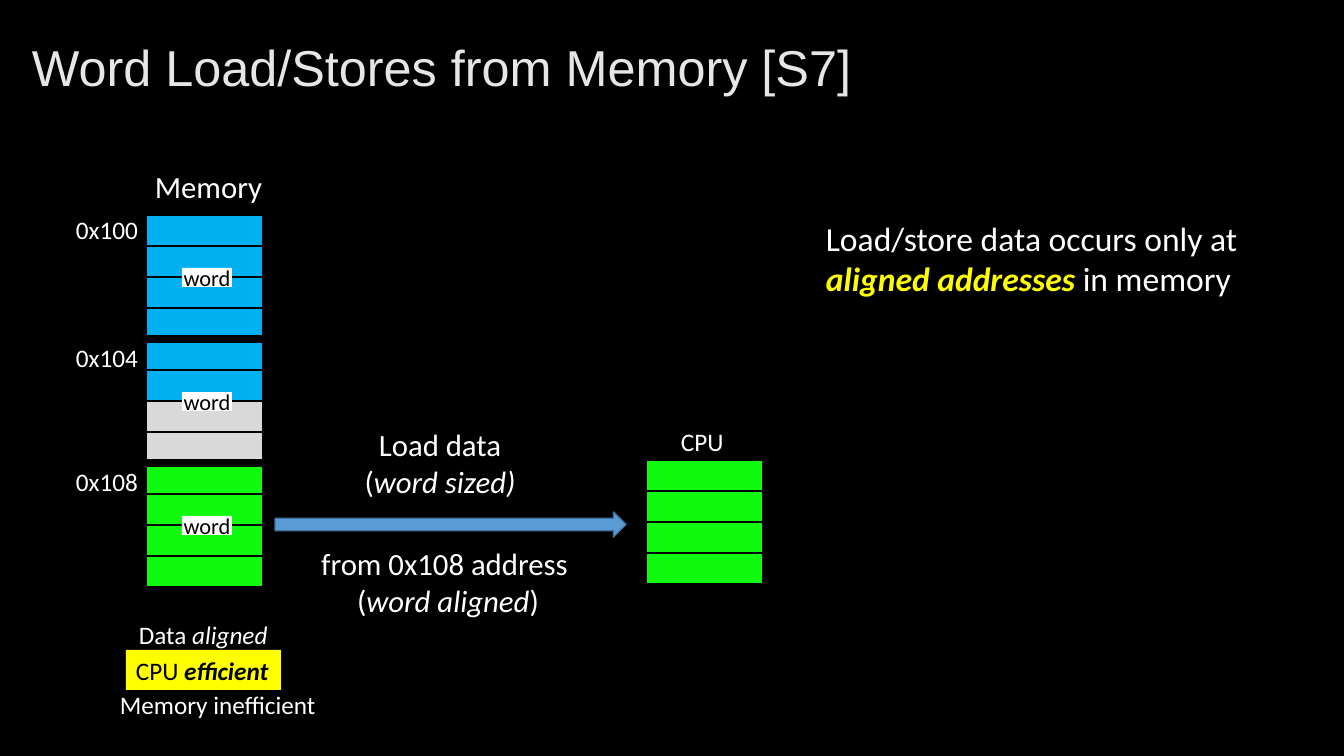
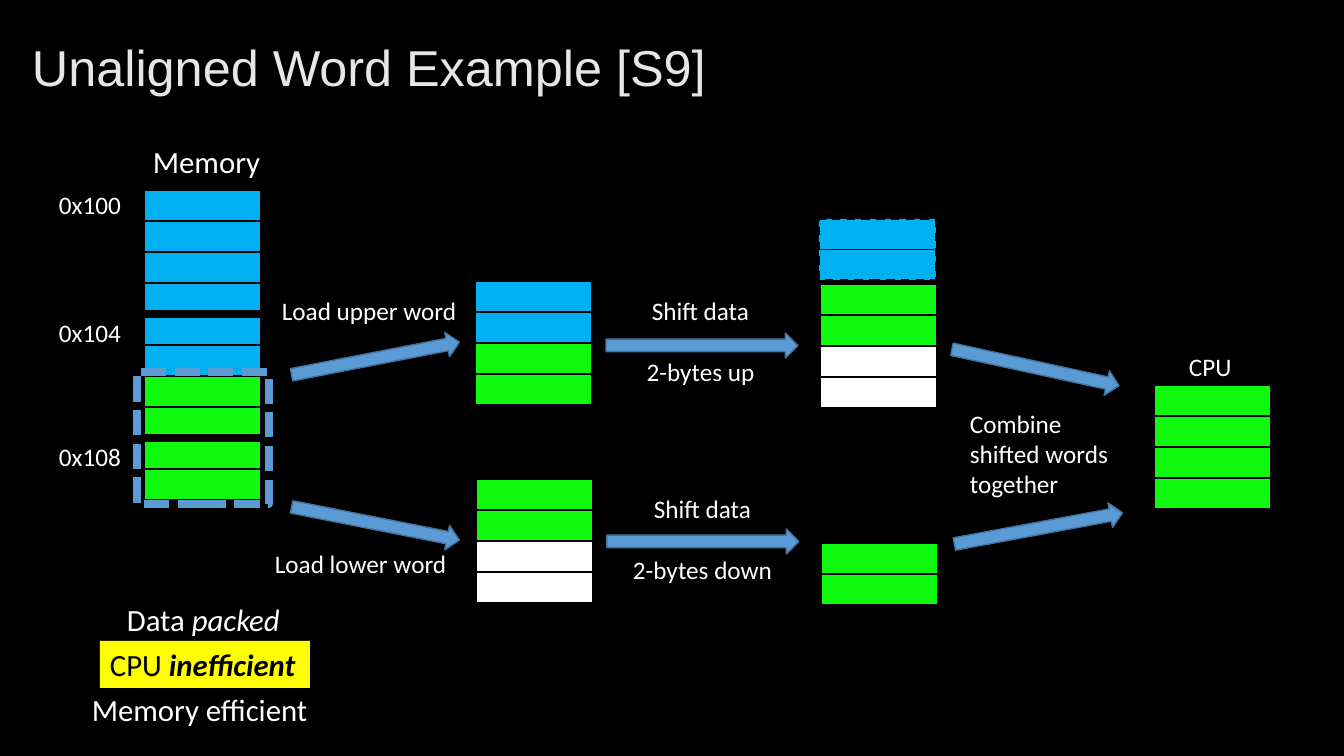
from pptx import Presentation
from pptx.dml.color import RGBColor as Rgb
from pptx.enum.dml import MSO_LINE as Dash
from pptx.enum.shapes import MSO_CONNECTOR as Link, MSO_SHAPE as Kind
from pptx.enum.text import MSO_ANCHOR as Anchor, PP_ALIGN as Align
from pptx.oxml.ns import qn
from pptx.util import Emu, Pt

WIDE, HIGH = 1344, 756
SCALE = 12192000 / WIDE
HUES = {
    "black": "000000", "white": "FFFFFF", "title": "E7E6E6", "blue": "00B0F0",
    "green": "0FFA0F", "grey": "D9D9D9", "yellow": "FFFF00",
    "arrow": "5B9BD5", "edge": "43739E",
}
CELL_W, CELL_H = 117, 31
WORD_H = 4 * CELL_H
TAG_W, TAG_H = 50, 19
ADDRS = (("0x100", -6), ("0x104", 122), ("0x108", 246))


def px(n):
    return Emu(round(n * SCALE))


def hue(name):
    return Rgb.from_string(HUES[name])


def write(frame, lines, size, color="white", font="Calibri", align=None,
          bold=False, accent=None, gap=0):
    """Fill a frame; every second part between bars is italic and accented."""
    for i, line in enumerate(lines):
        para = frame.add_paragraph() if i else frame.paragraphs[0]
        para.alignment = align
        if i and gap:
            para.space_before = Pt(gap)
        for j, part in enumerate(line.split("|")):
            if not part:
                continue
            run = para.add_run()
            run.text = part
            run.font.name, run.font.size = font, Pt(size)
            strong = j % 2 == 1
            run.font.italic = strong
            run.font.bold = strong and bold
            run.font.color.rgb = hue(accent if strong and accent else color)


def label(slide, box, *lines, size=18, wrap=False, fill=None, **style):
    item = slide.shapes.add_textbox(*map(px, box))
    if fill:
        item.fill.solid()
        item.fill.fore_color.rgb = hue(fill)
    item.text_frame.word_wrap = wrap
    write(item.text_frame, lines, size, **style)
    return item


def shape(slide, box, fill=None, line="black", width=1.5, kind=Kind.RECTANGLE, dash=None):
    item = slide.shapes.add_shape(kind, *map(px, box))
    item.shadow.inherit = False
    if fill:
        item.fill.solid()
        item.fill.fore_color.rgb = hue(fill)
    else:
        item.fill.background()
    if line:
        item.line.color.rgb = hue(line)
        item.line.width = Pt(width)
        if dash:
            item.line.dash_style = dash
    else:
        item.line.fill.background()
    return item


def arrow(slide, x, y, length, turn=0):
    shape(slide, (x, y, length, 25), "arrow", "edge", 1, Kind.RIGHT_ARROW).rotation = turn


def stack(slide, x, y, *fills):
    """Draw one byte cell per fill, downwards."""
    for i, fill in enumerate(fills):
        shape(slide, (x, y + i * CELL_H, CELL_W, CELL_H), fill)


def tag(slide, x, y):
    """Label the word whose top left corner is given."""
    item = shape(slide, (x + 36, y + 53, TAG_W, TAG_H), "white", None)
    frame = item.text_frame
    frame.margin_left = frame.margin_right = frame.margin_top = frame.margin_bottom = 0
    frame.word_wrap = False
    frame.vertical_anchor = Anchor.MIDDLE
    write(frame, ["word"], 16, "black", align=Align.CENTER)


def memory(slide, x, y, fills, gutter, tags=False):
    """Draw memory as framed words, with addresses the gutter to the left."""
    stack(slide, x, y, *fills)
    for top in range(y, y + 3 * WORD_H, WORD_H):
        shape(slide, (x - 2, top - 2, CELL_W + 4, WORD_H + 4), width=3)
        if tags:
            tag(slide, x, top)
    for addr, drop in ADDRS:
        label(slide, (x - gutter, y + drop, 83, 40), addr)
    label(slide, (x - 1, y - 52, 129, 47), "Memory", size=22)


def cpu(slide, x, y):
    stack(slide, x, y, *["green"] * 4)
    label(slide, (x + 25, y - 39, 64, 40), "CPU")


def spill(slide, x, y):
    """Draw the two bytes that a shift pushes out."""
    box = shape(slide, (x, y, CELL_W, 61), "blue", dash=Dash.DASH)
    rule = slide.shapes.add_connector(Link.STRAIGHT, 0, 0, 0, 0)
    rule.begin_connect(box, 1)
    rule.end_connect(box, 3)
    rule.line.color.rgb = hue("black")
    rule.line.width = Pt(1)
    props = rule.element.spPr
    props.append(props.makeelement(qn("a:effectLst"), {}))


def page(deck, title):
    slide = deck.slides.add_slide(deck.slide_layouts[6])
    slide.background.fill.solid()
    slide.background.fill.fore_color.rgb = hue("black")
    head = label(slide, (22, 21, 1299, 98), title, size=36, wrap=True,
                 color="title", font="Arial")
    head.text_frame.vertical_anchor = Anchor.MIDDLE
    head.text_frame.paragraphs[0].line_spacing = 0.9
    return slide


def verdict(slide, size, data, speed, room):
    """Write three lines, each a box and its text; the middle one is marked."""
    label(slide, *data, size=size)
    label(slide, *speed, size=size, fill="yellow", color="black", bold=True)
    label(slide, *room, size=size)


def aligned(deck):
    slide = page(deck, "Word Load/Stores from Memory [S7]")
    fills = ["blue"] * 6 + ["grey"] * 2 + ["green"] * 4
    memory(slide, 146, 215, fills, 80, tags=True)
    cpu(slide, 646, 460)
    arrow(slide, 275, 512, 351)
    mid = {"size": 22, "wrap": True, "align": Align.CENTER}
    label(slide, (255, 421, 377, 85), "Load data ", "(|word sized) ", **mid)
    label(slide, (306, 540, 284, 85), "from 0x108 address ", "(|word aligned|)", **mid)
    label(slide, (816, 213, 443, 92), "Load/store data occurs only at",
          "|aligned addresses |in memory", size=24, bold=True, accent="yellow")
    verdict(slide, 18,
            ((129, 614, 150, 40), "Data |aligned"),
            ((126, 650, 155, 40), "CPU |efficient"),
            ((110, 684, 219, 40), "Memory inefficient"))


def unaligned(deck):
    slide = page(deck, "Unaligned Word Example [S9]")
    memory(slide, 144, 190, ["blue"] * 6 + ["green"] * 4, 95)
    shape(slide, (137, 372, 132, 132), line="arrow", width=6, dash=Dash.SQUARE_DOT)

    stack(slide, 475, 281, "blue", "blue", "green", "green")
    stack(slide, 476, 479, "green", "green", "white", "white")
    stack(slide, 820, 284, "green", "green", "white", "white")
    stack(slide, 821, 543, "green", "green")
    spill(slide, 819, 219)
    cpu(slide, 1154, 385)

    for x, y, length, turn in (
        (290, 346, 171, -11), (290, 511, 171, 11.2),
        (606, 333, 192, 0), (607, 529, 192, 0),
        (950, 355, 171, 12.3), (953, 516, 171, -10.5),
    ):
        arrow(slide, x, y, length, turn)

    label(slide, (272, 290, 197, 40), "Load upper word")
    label(slide, (265, 543, 194, 40), "Load lower word")
    for box, way in (((636, 290, 129, 102), "up"), ((622, 488, 161, 102), "down")):
        label(slide, box, "Shift data", f"2-bytes {way}", align=Align.CENTER, gap=22)
    label(slide, (960, 403, 172, 102), "Combine shifted words together", wrap=True)
    verdict(slide, 22,
            ((117, 596, 174, 47), "Data |packed"),
            ((100, 641, 210, 47), "CPU |inefficient"),
            ((82, 686, 239, 47), "Memory efficient"))


def main():
    deck = Presentation()
    deck.slide_width, deck.slide_height = px(WIDE), px(HIGH)
    aligned(deck)
    unaligned(deck)
    deck.save("out.pptx")


if __name__ == "__main__":
    main()
